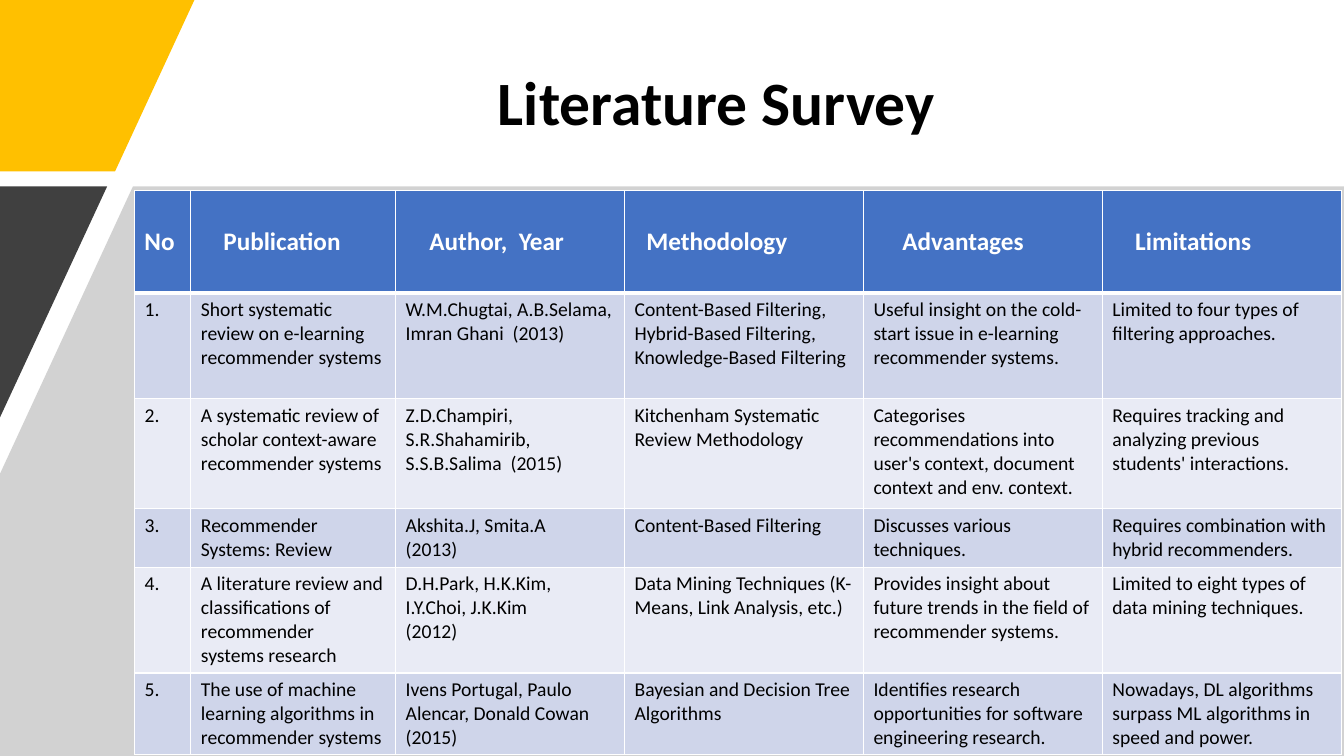
import pptx
import pptx.dml.color
import pptx.enum.text
import pptx.oxml
import pptx.oxml.ns
import pptx.util
from pptx.util import Cm
from lxml import etree

FONT = "Calibri"
COLORS = {
    "yellow": "FFC000",
    "dark": "404040",
    "grey": "A6A6A6",
    "header": "4472C4",
    "odd_row": "CFD5EA",
    "even_row": "E9EBF5",
    "white": "FFFFFF",
    "black": "000000",
}
SLIDE_WIDTH, SLIDE_HEIGHT = 33.87, 19.05

# Table content: header text with its left margin, then one tuple per study
COLUMN_WIDTHS = [1.42, 5.16, 5.77, 6.02, 6.02, 6.02]
ROW_HEIGHTS = [2.57, 2.67, 2.77, 1.47, 2.67, 2.06]
HEADERS = [
    ("No", 0.25),
    ("Publication", 0.82),
    ("Author,  Year", 0.85),
    ("Methodology", 0.55),
    ("Advantages", 0.98),
    ("Limitations", 0.83),
]
STUDIES = [
    ("1.", "Short systematic\nreview on e-learning\nrecommender systems",
     "W.M.Chugtai, A.B.Selama,\nImran Ghani  (2013)",
     "Content-Based Filtering, Hybrid-Based Filtering, Knowledge-Based Filtering",
     "Useful insight on the cold-start issue in e-learning recommender systems.",
     "Limited to four types of filtering approaches."),
    ("2.", "A systematic review of scholar context-aware recommender systems",
     "Z.D.Champiri, S.R.Shahamirib, S.S.B.Salima  (2015)",
     "Kitchenham Systematic Review Methodology",
     "Categorises recommendations into user's context, document context and env. context.",
     "Requires tracking and analyzing previous students' interactions."),
    ("3.", "Recommender\nSystems: Review",
     "Akshita.J, Smita.A\n(2013)",
     "Content-Based Filtering",
     "Discusses various techniques.",
     "Requires combination with hybrid recommenders."),
    ("4.", "A literature review and classifications of recommender \nsystems research",
     "D.H.Park, H.K.Kim, I.Y.Choi, J.K.Kim\n(2012)",
     "Data Mining Techniques (K-Means, Link Analysis, etc.)",
     "Provides insight about future trends in the field of recommender systems.",
     "Limited to eight types of data mining techniques."),
    ("5.", "The use of machine\nlearning algorithms in\nrecommender systems",
     "Ivens Portugal, Paulo Alencar, Donald Cowan\n(2015)",
     "Bayesian and Decision Tree Algorithms",
     "Identifies research opportunities for software engineering research.",
     "Nowadays, DL algorithms surpass ML algorithms in speed and power."),
]


def rgb(name):
    return pptx.dml.color.RGBColor.from_string(COLORS[name])


def format_text(text_frame, size, color, bold):
    for paragraph in text_frame.paragraphs:
        paragraph.font.name = FONT
        paragraph.font.size = pptx.util.Pt(size)
        paragraph.font.bold = bold
        paragraph.font.color.rgb = rgb(color)


def set_title(slide, text):
    title = slide.shapes.title
    title.left, title.top = Cm(4.6), Cm(1.02)
    title.width, title.height = Cm(26), Cm(3.3)
    text_frame = title.text_frame
    text_frame.text = text
    text_frame.margin_left = Cm(7.95)
    text_frame.vertical_anchor = pptx.enum.text.MSO_ANCHOR.MIDDLE
    text_frame.paragraphs[0].alignment = pptx.enum.text.PP_ALIGN.LEFT
    text_frame.paragraphs[0].line_spacing = 0.9
    format_text(text_frame, 44, "black", True)


def add_polygon(slide, points, color, opacity=100):
    corners = [(Cm(x), Cm(y)) for x, y in points]
    builder = slide.shapes.build_freeform(*corners[0])
    builder.add_line_segments(corners[1:])
    shape = builder.convert_to_shape()
    shape.shadow.inherit = False
    shape.fill.solid()
    shape.fill.fore_color.rgb = rgb(color)
    shape.line.fill.background()
    if opacity < 100:
        color_element = shape.fill._xPr.find(".//" + pptx.oxml.ns.qn("a:srgbClr"))
        alpha = etree.SubElement(color_element, pptx.oxml.ns.qn("a:alpha"))
        alpha.set("val", str(opacity * 1000))


def set_borders(cell, top, bottom):
    properties = cell._tc.get_or_add_tcPr()
    for side, points in (("L", 1), ("R", 1), ("T", top), ("B", bottom)):
        properties.append(pptx.oxml.parse_xml(
            f'<a:ln{side} {pptx.oxml.ns.nsdecls("a")} w="{points * 12700}">'
            f'<a:solidFill><a:srgbClr val="{COLORS["white"]}"/></a:solidFill>'
            f'</a:ln{side}>'))


def fill_cell(cell, text, fill, size, color, bold, borders):
    cell.text = text
    set_borders(cell, *borders)
    cell.fill.solid()
    cell.fill.fore_color.rgb = rgb(fill)
    format_text(cell.text_frame, size, color, bold)


def add_survey_table(slide):
    table = slide.shapes.add_table(
        len(ROW_HEIGHTS), len(COLUMN_WIDTHS), Cm(3.39), Cm(4.81),
        Cm(sum(COLUMN_WIDTHS)), Cm(sum(ROW_HEIGHTS))).table
    for column, width in zip(table.columns, COLUMN_WIDTHS):
        column.width = Cm(width)
    for row, height in zip(table.rows, ROW_HEIGHTS):
        row.height = Cm(height)

    # Header row
    for index, (text, margin) in enumerate(HEADERS):
        cell = table.cell(0, index)
        fill_cell(cell, text, "header", 18, "white", True, (1, 3))
        cell.margin_left = Cm(margin)
        cell.vertical_anchor = pptx.enum.text.MSO_ANCHOR.MIDDLE

    # Banded study rows
    for row_index, study in enumerate(STUDIES, start=1):
        fill = "odd_row" if row_index % 2 else "even_row"
        borders = (3 if row_index == 1 else 1, 1)
        for column_index, text in enumerate(study):
            fill_cell(table.cell(row_index, column_index), text, fill,
                      14, "black", False, borders)


def main():
    presentation = pptx.Presentation()
    presentation.slide_width = Cm(SLIDE_WIDTH)
    presentation.slide_height = Cm(SLIDE_HEIGHT)
    slide = presentation.slides.add_slide(presentation.slide_layouts[5])

    set_title(slide, "Literature Survey")

    # Slanted decoration
    add_polygon(slide, [(0, 0), (4.9, 0), (2.9, 4.32), (0, 4.32)], "yellow")
    add_polygon(slide, [(3.35, 4.7), (SLIDE_WIDTH, 4.7), (SLIDE_WIDTH, SLIDE_HEIGHT),
                        (0, SLIDE_HEIGHT), (0, 11.94)], "grey", opacity=50)
    add_polygon(slide, [(0, 4.7), (2.7, 4.7), (0, 10.52)], "dark")

    add_survey_table(slide)
    presentation.save("out.pptx")


if __name__ == "__main__":
    main()
